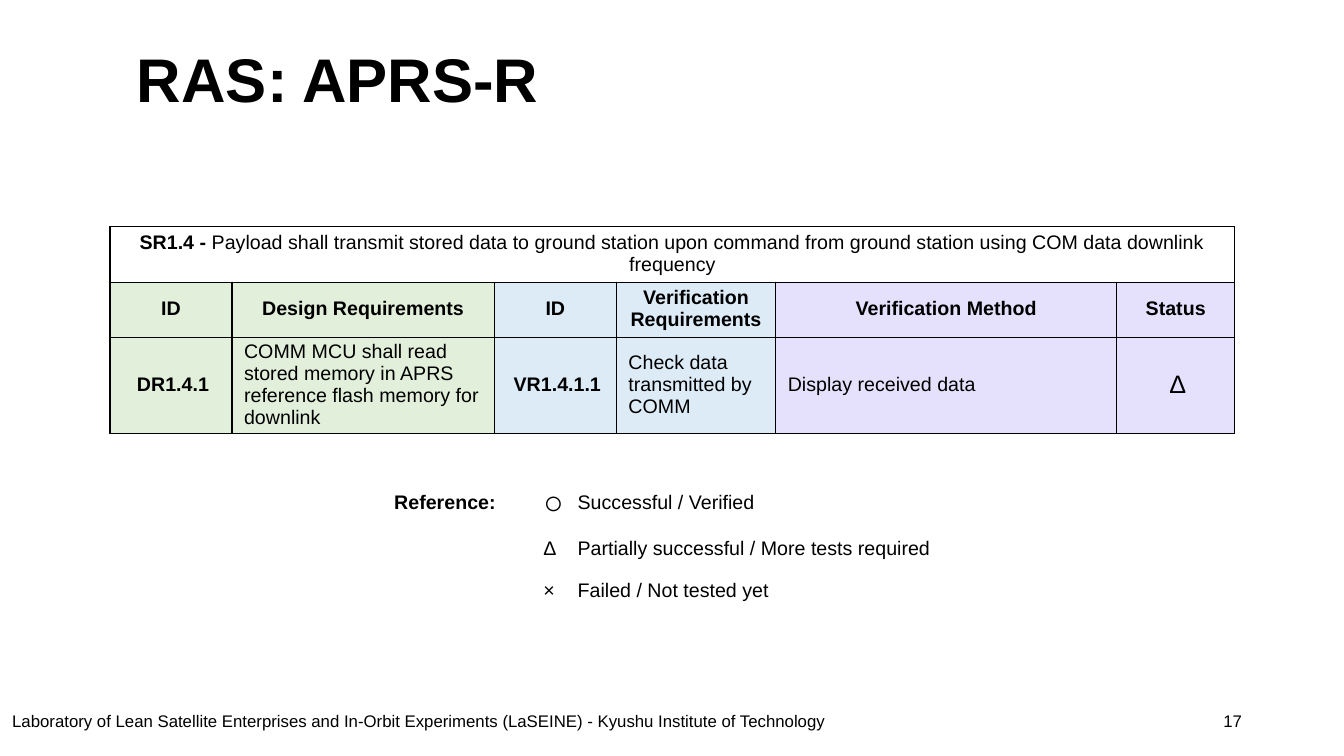
from dataclasses import dataclass

from lxml import etree
from pptx import Presentation
from pptx.dml.color import RGBColor
from pptx.enum.text import MSO_ANCHOR, PP_ALIGN
from pptx.oxml.ns import qn
from pptx.util import Inches, Pt

LEFT, CENTER, RIGHT = PP_ALIGN.LEFT, PP_ALIGN.CENTER, PP_ALIGN.RIGHT
TOP, MIDDLE = MSO_ANCHOR.TOP, MSO_ANCHOR.MIDDLE
DEFAULT_INSETS = (0.1, 0.05, 0.1, 0.05)
HEADER_INSETS = (0, 0, 0, 0.02)
BODY_INSETS = (0.12, 0, 0.08, 0.02)
WIDTH, HEIGHT = Inches(13.33), Inches(7.5)


@dataclass(frozen=True)
class Theme:
    font: str = "Arial"
    ink: str = "000000"
    design: str = "E2EFDA"
    verification: str = "DDEBF7"
    method: str = "E5E1FC"
    title: int = 44
    circle: int = 24
    status: int = 18
    body: int = 14
    footer: int = 12
    border: int = 1


THEME = Theme()

SYSTEM_REQUIREMENT = [
    ("SR1.4 - ", True),
    ("Payload shall transmit stored data to ground station upon command "
     "from ground station using COM data downlink frequency", False),
]
# Heading, value, value is bold, value alignment, value size, fill, column share
REQUIREMENT_COLUMNS = [
    ("ID", "DR1.4.1", True, CENTER, THEME.body, THEME.design, 1.21),
    ("Design Requirements",
     "COMM MCU shall read stored memory in APRS reference flash memory for downlink",
     False, LEFT, THEME.body, THEME.design, 2.6),
    ("ID", "VR1.4.1.1", True, CENTER, THEME.body, THEME.verification, 1.21),
    ("Verification Requirements", "Check data transmitted by COMM",
     False, LEFT, THEME.body, THEME.verification, 1.58),
    ("Verification Method", "Display received data",
     False, LEFT, THEME.body, THEME.method, 3.38),
    ("Status", "Δ", False, CENTER, THEME.status, THEME.method, 1.17),
]
LEGEND = [
    ("○", "Successful / Verified", THEME.circle),
    ("Δ", "Partially successful / More tests required", THEME.body),
    ("×", "Failed / Not tested yet", THEME.body),
]


def grid_box(column, row, columns, rows):
    """Turn cells of a 100 by 100 slide grid into slide lengths."""
    return (int(WIDTH * column / 100), int(HEIGHT * row / 100),
            int(WIDTH * columns / 100), int(HEIGHT * rows / 100))


def write(paragraph, runs, size, align=LEFT):
    paragraph.alignment = align
    for text, bold in runs:
        run = paragraph.add_run()
        run.text = text
        run.font.name = THEME.font
        run.font.size = Pt(size)
        run.font.bold = bold
        run.font.color.rgb = RGBColor.from_string(THEME.ink)


def set_insets(target, insets):
    (target.margin_left, target.margin_top,
     target.margin_right, target.margin_bottom) = map(Inches, insets)


def add_text(slide, box, text, size, bold=False, align=LEFT, anchor=MIDDLE,
             insets=DEFAULT_INSETS):
    text_frame = slide.shapes.add_textbox(*box).text_frame
    text_frame.word_wrap = True
    text_frame.vertical_anchor = anchor
    set_insets(text_frame, insets)
    write(text_frame.paragraphs[0], [(text, bold)], size, align)
    return text_frame


def add_plain_table(slide, box, column_shares, row_shares):
    table = slide.shapes.add_table(len(row_shares), len(column_shares), *box).table
    table.first_row = table.horz_banding = False
    for column, share in zip(table.columns, column_shares):
        column.width = int(box[2] * share / sum(column_shares))
    for row, share in zip(table.rows, row_shares):
        row.height = int(box[3] * share / sum(row_shares))
    for cell in table.iter_cells():
        cell.fill.background()
        cell.vertical_anchor = MIDDLE
    return table


def add_borders(cell):
    properties = cell._tc.get_or_add_tcPr()
    for position, side in enumerate(("lnL", "lnR", "lnT", "lnB")):
        line = etree.Element(qn(f"a:{side}"), w=str(Pt(THEME.border)))
        fill = etree.SubElement(line, qn("a:solidFill"))
        etree.SubElement(fill, qn("a:srgbClr"), val=THEME.ink)
        properties.insert(position, line)


def fill_cell(cell, runs, size, align=LEFT, insets=DEFAULT_INSETS, color=None):
    set_insets(cell, insets)
    if color:
        cell.fill.solid()
        cell.fill.fore_color.rgb = RGBColor.from_string(color)
    write(cell.text_frame.paragraphs[0], runs, size, align)


def add_requirements(slide, box):
    shares = [column[-1] for column in REQUIREMENT_COLUMNS]
    table = add_plain_table(slide, box, shares, (0.55, 0.55, 0.91))
    for cell in table.iter_cells():
        add_borders(cell)

    # System requirement across the top
    table.cell(0, 0).merge(table.cell(0, len(shares) - 1))
    fill_cell(table.cell(0, 0), SYSTEM_REQUIREMENT, THEME.body, CENTER, HEADER_INSETS)

    # Headings and values, column by column
    for index, column in enumerate(REQUIREMENT_COLUMNS):
        heading, value, bold, align, size, color, _ = column
        fill_cell(table.cell(1, index), [(heading, True)], THEME.body, CENTER,
                  HEADER_INSETS, color)
        fill_cell(table.cell(2, index), [(value, bold)], size, align,
                  BODY_INSETS, color)


def add_legend(slide, box):
    table = add_plain_table(slide, box, (1.48, 0.34, 3.9), (0.5, 0.41, 0.41))
    fill_cell(table.cell(0, 0), [("Reference:", True)], THEME.body)
    for row, (symbol, meaning, size) in enumerate(LEGEND):
        fill_cell(table.cell(row, 1), [(symbol, False)], size)
        fill_cell(table.cell(row, 2), [(meaning, False)], THEME.body)


def add_title(slide, box):
    text_frame = add_text(slide, box, "RAS: APRS-R", THEME.title, bold=True)
    text_frame.paragraphs[0].line_spacing = 0.9


def add_footer(slide, laboratory_box, number_box):
    add_text(slide, laboratory_box,
             "Laboratory of Lean Satellite Enterprises and In-Orbit Experiments "
             "(LaSEINE) - Kyushu Institute of Technology",
             THEME.footer, anchor=TOP, insets=(0.01, 0.03, 0, 0))
    add_text(slide, number_box, "17", THEME.footer, align=RIGHT)


def main():
    presentation = Presentation()
    presentation.slide_width, presentation.slide_height = WIDTH, HEIGHT
    slide = presentation.slides.add_slide(presentation.slide_layouts[6])
    add_footer(slide, grid_box(0.83, 93.6, 61.2, 3.07),
               grid_box(70.65, 92.67, 22.5, 5.33))
    add_title(slide, grid_box(9.45, 5.33, 83.7, 11.07))
    add_requirements(slide, grid_box(8.18, 30, 83.7, 26.8))
    add_legend(slide, grid_box(28.58, 63.2, 42.9, 17.6))
    presentation.save("out.pptx")


if __name__ == "__main__":
    main()
